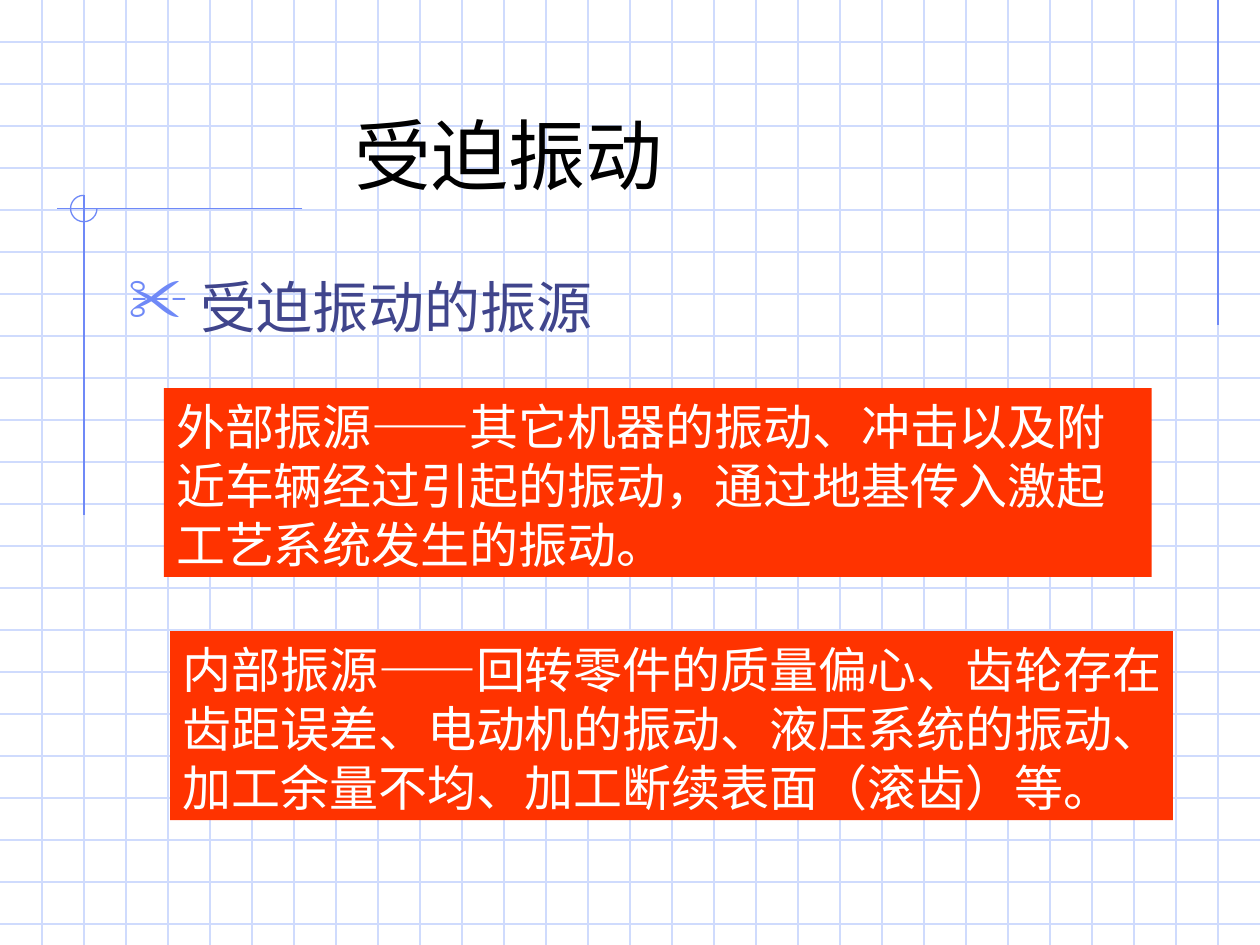
from dataclasses import dataclass

from lxml.etree import SubElement
from pptx import Presentation
from pptx.dml.color import RGBColor
from pptx.enum.shapes import MSO_CONNECTOR as Conn, MSO_SHAPE as Shape
from pptx.enum.text import MSO_ANCHOR as Anchor, PP_ALIGN as Align
from pptx.oxml.ns import qn
from pptx.util import Emu, Inches, Pt


@dataclass(frozen=True)
class Theme:
    grid: str = "CFDBFD"
    accent: str = "6F89F7"
    title: str = "000000"
    heading: str = "40458C"
    panel: str = "FF3300"
    panel_text: str = "FFFFFF"
    latin: str = "Roboto"
    cjk: str = "Noto Sans CJK SC"
    title_size: int = 44
    heading_size: int = 32
    panel_size: int = 28
    line_width: float = 0.75
    leading: float = 1.2


@dataclass(frozen=True)
class Box:
    """A frame measured in grid cells."""
    left: float
    top: float
    width: float
    height: float


@dataclass(frozen=True)
class Run:
    text: str
    font: str


@dataclass(frozen=True)
class Panel:
    box: Box
    lines: tuple[tuple[Run, ...], ...]
    wrap: bool


T = Theme()
COLS, ROWS = 30, 22.5
CELL = Inches(10) // COLS


def cells(n: float) -> Emu:
    return Emu(round(n * CELL))


def frame(box: Box) -> tuple[Emu, ...]:
    return tuple(cells(n) for n in (box.left, box.top, box.width, box.height))


def rgb(value: str) -> RGBColor:
    return RGBColor.from_string(value)


def add_line(s, x1: float, y1: float, x2: float, y2: float, color: str) -> None:
    line = s.shapes.add_connector(Conn.STRAIGHT, cells(x1), cells(y1), cells(x2), cells(y2))
    line.line.color.rgb = rgb(color)
    line.line.width = Pt(T.line_width)
    SubElement(line._element.spPr, qn("a:effectLst"))


def set_insets(tf, top: float, bottom: float) -> None:
    tf.margin_left = tf.margin_right = Inches(0.1)
    tf.margin_top, tf.margin_bottom = Inches(top), Inches(bottom)


def add_run(p, run: Run, size: int, color: str) -> None:
    r = p.add_run()
    r.text = run.text
    r.font.name, r.font.size = run.font, Pt(size)
    r.font.color.rgb = rgb(color)
    SubElement(r._r.get_or_add_rPr(), qn("a:ea"), typeface=T.cjk)
    p.alignment = Align.LEFT
    p.line_spacing = Pt(round(size * T.leading, 1))


def indent(p, left: float, first: float = 0) -> None:
    pPr = p._p.get_or_add_pPr()
    pPr.set("marL", str(Inches(left)))
    pPr.set("indent", str(Inches(first)))


def add_bullet(p, char: str, color: str, percent: int) -> None:
    pPr = p._p.get_or_add_pPr()
    SubElement(SubElement(pPr, qn("a:buClr")), qn("a:srgbClr"), val=color)
    SubElement(pPr, qn("a:buSzPct"), val=str(percent * 1000))
    SubElement(pPr, qn("a:buChar"), char=char)


def add_text(s, box: Box, top: float, bottom: float, anchor: Anchor):
    tf = s.shapes.add_textbox(*frame(box)).text_frame
    tf.word_wrap = True
    tf.vertical_anchor = anchor
    set_insets(tf, top, bottom)
    return tf.paragraphs[0]


def add_panel(s, panel: Panel) -> None:
    sp = s.shapes.add_shape(Shape.RECTANGLE, *frame(panel.box))
    sp.shadow.inherit = False
    sp.fill.solid()
    sp.fill.fore_color.rgb = rgb(T.panel)
    sp.line.fill.background()
    tf = sp.text_frame
    tf.word_wrap = panel.wrap
    tf.vertical_anchor = Anchor.TOP
    set_insets(tf, 0.07, 0.03)
    for i, runs in enumerate(panel.lines):
        p = tf.add_paragraph() if i else tf.paragraphs[0]
        for run in runs:
            add_run(p, run, T.panel_size, T.panel_text)


def add_background(s) -> None:
    # Squared paper
    for row in range(1, int(ROWS) + 1):
        add_line(s, 0, row, COLS, row, T.grid)
    for col in range(1, COLS):
        add_line(s, col, 0, col, ROWS, T.grid)

    # Accent lines and the open circle where two of them cross
    add_line(s, 29, 0, 29, 7.74, T.accent)
    add_line(s, 7.2, 4.97, 1.35, 4.97, T.accent)
    add_line(s, 2, 4.65, 2, 12.27, T.accent)
    arc = s.shapes.add_shape(Shape.ARC, *frame(Box(1.68, 4.65, 0.63, 0.63)))
    arc.adjustments[0], arc.adjustments[1] = 0, 162  # 270 degrees in 60000ths / 100000
    arc.shadow.inherit = False
    arc.fill.background()
    arc.line.color.rgb = rgb(T.accent)
    arc.line.width = Pt(T.line_width)


PANELS = (
    Panel(Box(3.9, 9.24, 23.52, 4.5), (
        (Run("外部振源——其它机器的振动、冲击以及附近车辆经过引起的振动，"
             "通过地基传入激起工艺系统发生的振动。", T.cjk),),
    ), True),
    Panel(Box(4.05, 15.03, 23.88, 4.5), (
        (Run("内部振源", T.latin), Run("——", T.cjk),
         Run("回转零件的质量偏心、齿轮存在", T.latin)),
        (Run("齿距误差、电动机的振动、液压系统的振动、", T.latin),),
        (Run("加工余量不均、加工断续表面（滚齿）等。", T.latin),),
    ), False),
)


def main() -> None:
    prs = Presentation()
    prs.slide_width, prs.slide_height = cells(COLS), cells(ROWS)
    s = prs.slides.add_slide(prs.slide_layouts[6])
    add_background(s)

    # Title
    p = add_text(s, Box(2, 1, 25.5, 3.75), 0.05, 0, Anchor.BOTTOM)
    indent(p, 2.05)
    add_run(p, Run("受迫振动", T.latin), T.title_size, T.title)

    # Heading with a scissors bullet
    p = add_text(s, Box(2.76, 6.24, 25.5, 13.5), 0.08, 0.05, Anchor.TOP)
    indent(p, 0.57, -0.57)
    add_bullet(p, "✂", T.accent, 110)
    add_run(p, Run("受迫振动的振源", T.cjk), T.heading_size, T.heading)

    # Vibration sources
    for panel in PANELS:
        add_panel(s, panel)

    prs.save("out.pptx")


if __name__ == "__main__":
    main()
